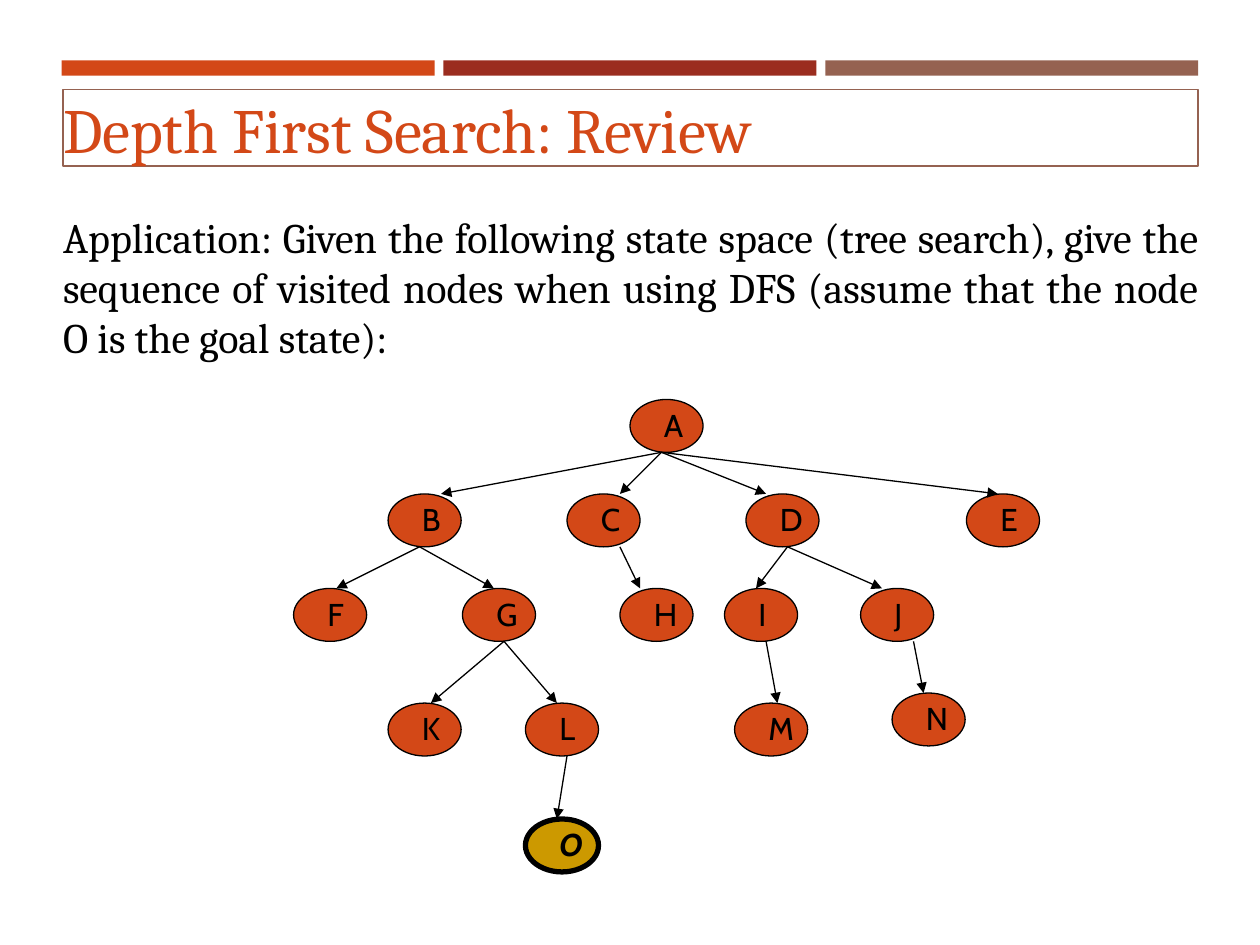
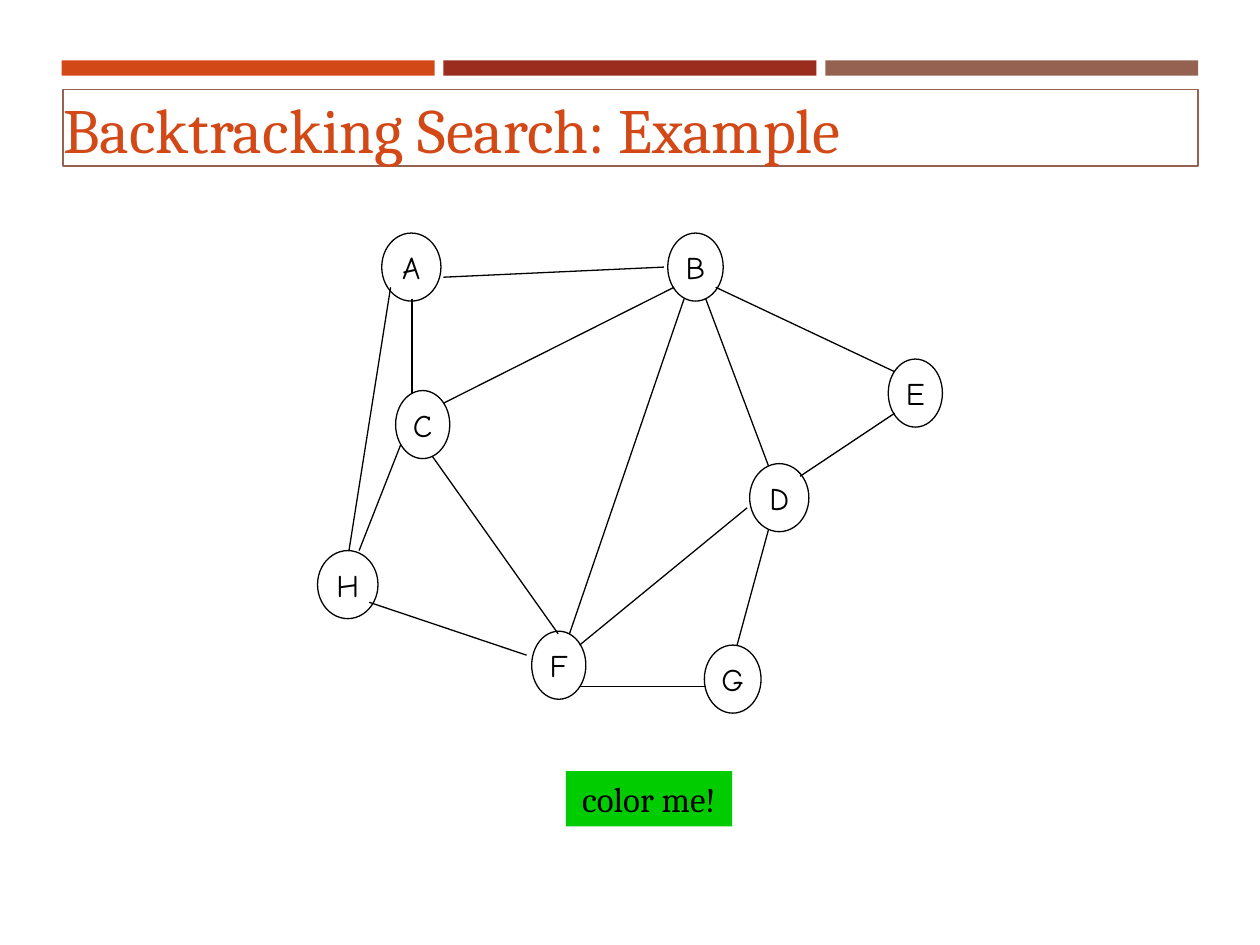
import pptx
import pptx.dml.color
import pptx.enum.shapes
import pptx.enum.text
import pptx.oxml.ns
import pptx.util
from lxml import etree

PX = 9144  # EMU per px, 100 px to the inch
SLIDE_W, SLIDE_H = 1000, 750

ORANGE, RED, BROWN = "D34817", "9B2D1F", "956251"
BLACK, GOLD, GREEN = "000000", "CC9900", "00CC00"
HEADING_FONT, TREE_FONT, GRAPH_FONT = "Cambria", "Cabin", "Comic Neue"

SHAPE = pptx.enum.shapes.MSO_SHAPE
ALIGN = pptx.enum.text.PP_ALIGN
ANCHOR = pptx.enum.text.MSO_ANCHOR

# Tree node: x, y, parent, where its arrow arrives, where its own arrows leave
TREE_NODES = {
    "A": (267, 0, None, 0, 25),
    "B": (75, 75, "A", 42, 25),
    "C": (217, 75, "A", 42, 42),
    "D": (359, 75, "A", 16, 33),
    "E": (534, 75, "A", 25, 0),
    "F": (0, 150, "B", 34, 0),
    "G": (134, 150, "B", 25, 33),
    "H": (259, 150, "C", 16, 0),
    "I": (342, 150, "D", 25, 33),
    "J": (450, 150, "D", 17, 42),
    "K": (75, 241, "G", 34, 0),
    "L": (184, 241, "G", 25, 33),
    "M": (350, 241, "I", 34, 0),
    "N": (475, 233, "J", 25, 0),
    "O": (184, 333, "L", 25, 0),
}
TREE_GOAL = "O"
TREE_NODE_W, TREE_NODE_H = 58, 42

# Graph node: x, y, width
GRAPH_NODES = {
    "A": (51, 0, 47),
    "B": (278, 0, 44),
    "C": (62, 125, 43),
    "D": (343, 183, 47),
    "E": (453, 100, 43),
    "F": (170, 316, 43),
    "G": (307, 327, 45),
    "H": (0, 252, 48),
}
GRAPH_NODE_H = 54
GRAPH_EDGES = {
    "AB": (100, 35, 275, 27),
    "AC": (75, 52, 75, 127),
    "AH": (58, 43, 25, 252),
    "BC": (283, 43, 100, 135),
    "BD": (308, 52, 358, 185),
    "BE": (316, 43, 458, 110),
    "BF": (291, 52, 200, 318),
    "CF": (91, 177, 191, 318),
    "CH": (66, 168, 33, 252),
    "DE": (383, 193, 458, 143),
    "DF": (341, 218, 208, 327),
    "DG": (358, 235, 333, 327),
    "FG": (208, 360, 308, 360),
    "FH": (166, 335, 41, 293),
}


def rgb(color):
    return pptx.dml.color.RGBColor.from_string(color)


def px(*lengths):
    return [length * PX for length in lengths]


def add_box(shapes, kind, box, fill=None, line=None, line_pt=0.75):
    sp = shapes.add_shape(kind, *px(*box))
    sp.shadow.inherit = False
    if fill:
        sp.fill.solid()
        sp.fill.fore_color.rgb = rgb(fill)
    else:
        sp.fill.background()
    if line:
        sp.line.color.rgb = rgb(line)
        sp.line.width = pptx.util.Pt(line_pt)
    else:
        sp.line.fill.background()
    return sp


def add_line(shapes, x1, y1, x2, y2, arrow=False):
    cxn = shapes.add_connector(
        pptx.enum.shapes.MSO_CONNECTOR.STRAIGHT, *px(x1, y1, x2, y2))
    cxn.line.color.rgb = rgb(BLACK)
    cxn.line.width = pptx.util.Pt(0.75)
    if arrow:
        ln = cxn.line._get_or_add_ln()
        etree.SubElement(ln, pptx.oxml.ns.qn("a:tailEnd"), type="triangle")
    etree.SubElement(cxn._element.spPr, pptx.oxml.ns.qn("a:effectLst"))


def set_text(sp, text, font, size, color=BLACK, align=ALIGN.LEFT,
             anchor=ANCHOR.TOP, wrap=True, inset=True):
    tf = sp.text_frame
    tf.text = text
    tf.word_wrap = wrap
    tf.vertical_anchor = anchor
    if not inset:
        tf.margin_left = tf.margin_top = tf.margin_right = tf.margin_bottom = 0
    p = tf.paragraphs[0]
    p.alignment = align
    r = p.runs[0]
    r.font.name = font
    r.font.size = pptx.util.Pt(size)
    r.font.color.rgb = rgb(color)
    return p


def add_header(slide, box, title):
    x, y, w, h = box
    # Three colour bands
    for i, color in enumerate((ORANGE, RED, BROWN)):
        add_box(slide.shapes, SHAPE.RECTANGLE,
                (x + i * 303, y, 296, 12), color)
    # Framed title
    sp = add_box(slide.shapes, SHAPE.RECTANGLE,
                 (x + 1, y + 23, w, h - 23), line=BROWN, line_pt=1)
    set_text(sp, title, HEADING_FONT, 36, ORANGE,
             anchor=ANCHOR.MIDDLE, inset=False)


def add_body(slide, box, text):
    sp = slide.shapes.add_textbox(*px(*box))
    p = set_text(sp, text, HEADING_FONT, 24, align=ALIGN.JUSTIFY,
                 anchor=ANCHOR.MIDDLE, inset=False)
    p.space_after = pptx.util.Pt(6)


def add_tree(slide, left, top):
    shapes = slide.shapes.add_group_shape().shapes
    # Nodes, each with its letter
    for name, (x, y, *_) in TREE_NODES.items():
        goal = name == TREE_GOAL
        add_box(shapes, SHAPE.OVAL,
                (left + x, top + y, TREE_NODE_W, TREE_NODE_H),
                GOLD if goal else ORANGE, BLACK, 3 if goal else 0.75)
        sp = shapes.add_textbox(*px(left + x + 17, top + y, 42, 40))
        p = set_text(sp, name, TREE_FONT, 18)
        if goal:
            p.runs[0].font.bold = p.runs[0].font.italic = True
    # Arrows from parent to child
    for x, y, parent, arrive, _ in TREE_NODES.values():
        if parent:
            parent_x, parent_y, _, _, leave = TREE_NODES[parent]
            add_line(shapes, left + parent_x + leave,
                     top + parent_y + TREE_NODE_H,
                     left + x + arrive, top + y, arrow=True)


def add_graph(slide, left, top):
    shapes = slide.shapes.add_group_shape().shapes
    # Nodes
    for name, (x, y, w) in GRAPH_NODES.items():
        sp = add_box(shapes, SHAPE.OVAL,
                     (left + x, top + y, w, GRAPH_NODE_H), line=BLACK)
        set_text(sp, name, GRAPH_FONT, 18, align=ALIGN.CENTER,
                 anchor=ANCHOR.MIDDLE, wrap=False)
    # Edges
    for x1, y1, x2, y2 in GRAPH_EDGES.values():
        add_line(shapes, left + x1, top + y1, left + x2, top + y2)


def add_button(slide, box, text):
    sp = add_box(slide.shapes, SHAPE.RECTANGLE, box, GREEN)
    set_text(sp, text, HEADING_FONT, 20, align=ALIGN.CENTER, wrap=False)


def new_slide(prs, title):
    slide = prs.slides.add_slide(prs.slide_layouts[6])
    add_header(slide, (49, 48, 901, 84), title)
    return slide


def main():
    prs = pptx.Presentation()
    prs.slide_width, prs.slide_height = px(SLIDE_W, SLIDE_H)

    # Depth first search
    slide = new_slide(prs, "Depth First Search: Review")
    add_body(slide, (50, 167, 901, 121),
             "Application: Given the following state space (tree search), "
             "give the sequence of visited nodes when using DFS "
             "(assume that the node O is the goal state):")
    add_tree(slide, 233, 317)

    # Backtracking
    slide = new_slide(prs, "Backtracking Search: Example")
    add_graph(slide, 252, 185)
    add_button(slide, (449, 612, 132, 44), "color me!")

    prs.save("out.pptx")


if __name__ == "__main__":
    main()
